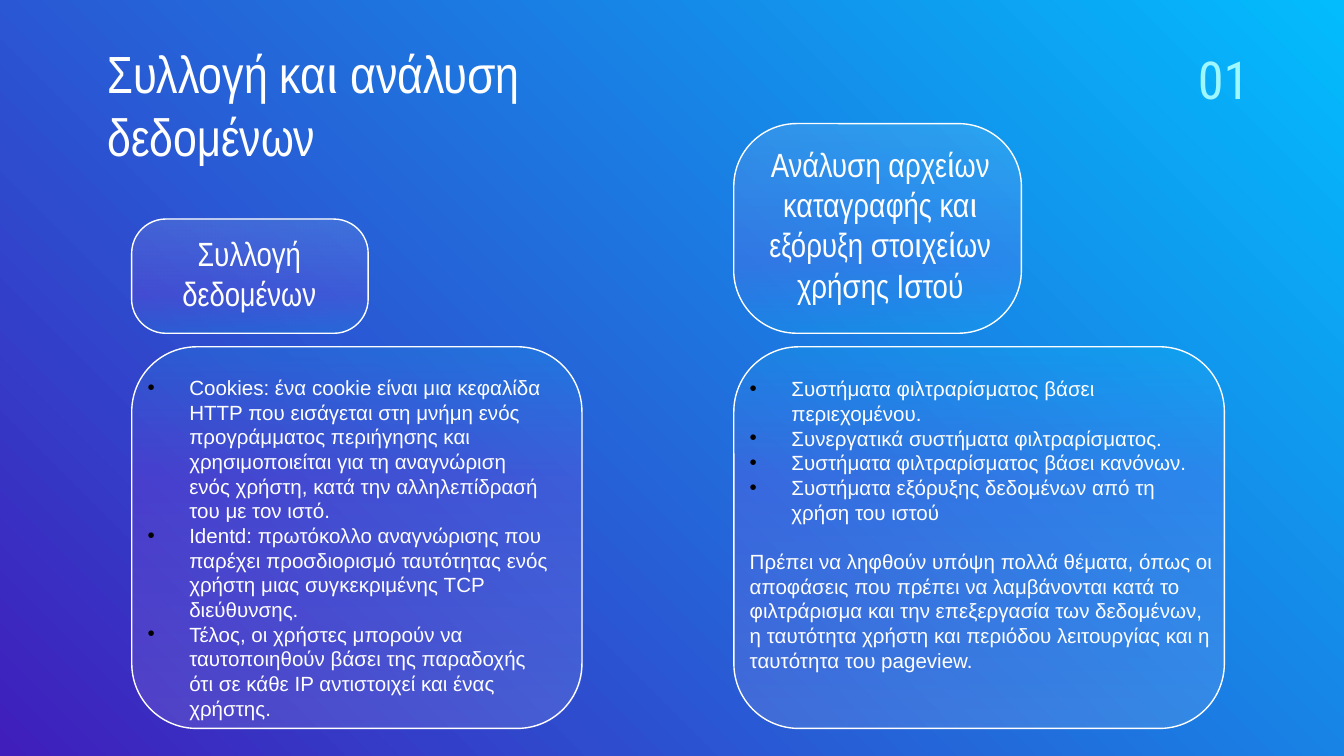
from lxml.etree import SubElement
from pptx import Presentation
from pptx.dml.color import RGBColor
from pptx.enum.shapes import MSO_SHAPE
from pptx.enum.text import MSO_ANCHOR, PP_ALIGN
from pptx.oxml.ns import qn
from pptx.util import Inches, Pt


def color(value):
    return RGBColor.from_string(value)


class SlideBuilder:
    HEADING_FONT = "Arial Narrow"
    BODY_FONT = "Arial"
    NUMBER_FONT = "Roboto Condensed"
    WHITE = "FFFFFF"
    AQUA = "9FF7FF"
    BULLET = "000000"
    BACKGROUND = [(0, "401EBB", 100), (100, "02BCFD", 100)]
    GLASS = [(0, "FFFFFF", 11), (66, "E354F7", 11), (100, "10ECFF", 11)]
    LINE_HEIGHT = 1.2
    BODY_SIZE = 11
    INDENT = 0.31

    def __init__(self, slide):
        self.slide = slide

    def fill_gradient(self, fill, element, stops, angle):
        fill.gradient()
        fill.gradient_angle = angle
        stop_list = element.find(".//" + qn("a:gsLst"))
        for stop in list(stop_list):
            stop_list.remove(stop)
        for position, value, opacity in stops:
            stop = SubElement(stop_list, qn("a:gs"), pos=str(position * 1000))
            stop_color = SubElement(stop, qn("a:srgbClr"), val=value)
            if opacity < 100:
                SubElement(stop_color, qn("a:alpha"), val=str(opacity * 1000))

    def background(self):
        self.fill_gradient(self.slide.background.fill, self.slide.element,
                           self.BACKGROUND, 45)

    def glass_box(self, left, top, width, height, corner, rotation=0):
        shape = self.slide.shapes.add_shape(
            MSO_SHAPE.ROUNDED_RECTANGLE, Inches(left), Inches(top),
            Inches(width), Inches(height))
        shape.adjustments[0] = corner
        shape.rotation = rotation
        shape.shadow.inherit = False
        self.fill_gradient(shape.fill, shape.element, self.GLASS, 270)
        shape.line.color.rgb = color(self.WHITE)
        shape.line.width = Pt(0.75)

    def text_frame(self, left, top, width, height, anchor):
        text_box = self.slide.shapes.add_textbox(
            Inches(left), Inches(top), Inches(width), Inches(height))
        frame = text_box.text_frame
        frame.word_wrap = True
        frame.vertical_anchor = anchor
        frame.margin_left = frame.margin_right = Inches(0.1)
        frame.margin_top = frame.margin_bottom = Inches(0.1)
        return frame

    def format_paragraph(self, paragraph, size, font, value):
        paragraph.line_spacing = Pt(size * self.LINE_HEIGHT)
        for run in paragraph.runs:
            run.font.size = Pt(size)
            run.font.name = font
            run.font.color.rgb = color(value)

    def heading(self, text, left, top, width, height, size,
                anchor=MSO_ANCHOR.BOTTOM, alignment=PP_ALIGN.CENTER,
                font=HEADING_FONT, value=WHITE):
        frame = self.text_frame(left, top, width, height, anchor)
        frame.text = text
        paragraph = frame.paragraphs[0]
        paragraph.alignment = alignment
        self.format_paragraph(paragraph, size, font, value)

    def add_bullet(self, paragraph):
        properties = paragraph._p.get_or_add_pPr()
        properties.set("marL", str(Inches(self.INDENT)))
        properties.set("indent", str(-Inches(self.INDENT)))
        bullet_color = SubElement(properties, qn("a:buClr"))
        SubElement(bullet_color, qn("a:srgbClr"), val=self.BULLET)
        SubElement(properties, qn("a:buFont"), typeface=self.BODY_FONT)
        SubElement(properties, qn("a:buChar"), char="•")

    def body(self, bullets, left, top, width, height, closing=None):
        frame = self.text_frame(left, top, width, height, MSO_ANCHOR.TOP)
        texts = bullets + ([closing] if closing else [])
        frame.text = "\n".join(texts)
        for paragraph in frame.paragraphs:
            self.format_paragraph(paragraph, self.BODY_SIZE, self.BODY_FONT, self.WHITE)
        for paragraph in frame.paragraphs[:len(bullets)]:
            self.add_bullet(paragraph)
        if closing:
            frame.paragraphs[-1].space_before = Pt(self.BODY_SIZE * self.LINE_HEIGHT)


def main():
    # Widescreen slide, 16:9
    presentation = Presentation()
    presentation.slide_width = Inches(10)
    presentation.slide_height = Inches(10 * 9 / 16)
    slide = presentation.slides.add_slide(presentation.slide_layouts[6])
    builder = SlideBuilder(slide)

    # Background and title
    builder.background()
    builder.heading("Συλλογή και ανάλυση δεδομένων", 0.7, 0.21, 4.78, 1.35, 28,
                    anchor=MSO_ANCHOR.TOP, alignment=PP_ALIGN.LEFT)

    # Heading boxes and content boxes
    builder.glass_box(0.98, 1.63, 1.76, 0.85, 0.3)
    builder.glass_box(5.46, 0.92, 2.14, 1.56, 0.3)
    for left, width in ((5.46, 3.65), (0.98, 3.35)):
        builder.glass_box(left, 2.58, width, 2.84, 0.17, rotation=180)

    # Left column: data collection
    builder.heading("Συλλογή δεδομένων", 1, 1.79, 1.71, 0.64, 18)
    builder.body([
        "Cookies: ένα cookie είναι μια κεφαλίδα HTTP που εισάγεται στη μνήμη "
        "ενός προγράμματος περιήγησης και χρησιμοποιείται για τη αναγνώριση "
        "ενός χρήστη, κατά την αλληλεπίδρασή του με τον ιστό.",
        "Identd: πρωτόκολλο αναγνώρισης που παρέχει προσδιορισμό ταυτότητας "
        "ενός χρήστη μιας συγκεκριμένης TCP διεύθυνσης.",
        "Τέλος, οι χρήστες μπορούν να ταυτοποιηθούν βάσει της παραδοχής ότι "
        "σε κάθε IP αντιστοιχεί και ένας χρήστης.",
    ], 1, 2.69, 3.19, 2.29)

    # Right column: log analysis
    builder.heading("Ανάλυση αρχείων καταγραφής και εξόρυξη στοιχείων χρήσης Ιστού",
                    5.48, 1.73, 2.14, 0.64, 18)
    builder.body([
        "Συστήματα φιλτραρίσματος βάσει περιεχομένου.",
        "Συνεργατικά συστήματα φιλτραρίσματος.",
        "Συστήματα φιλτραρίσματος βάσει κανόνων.",
        "Συστήματα εξόρυξης δεδομένων από τη χρήση του ιστού",
    ], 5.48, 2.7, 3.65, 2.29, closing=(
        "Πρέπει να ληφθούν υπόψη πολλά θέματα, όπως οι αποφάσεις που πρέπει "
        "να λαμβάνονται κατά το φιλτράρισμα και την επεξεργασία των δεδομένων, "
        "η ταυτότητα χρήστη και περιόδου λειτουργίας και η ταυτότητα του pageview."))

    # Section number
    builder.heading("01", 8.33, -0.24, 1.55, 1.16, 28,
                    font=builder.NUMBER_FONT, value=builder.AQUA)

    presentation.save("out.pptx")


if __name__ == "__main__":
    main()
